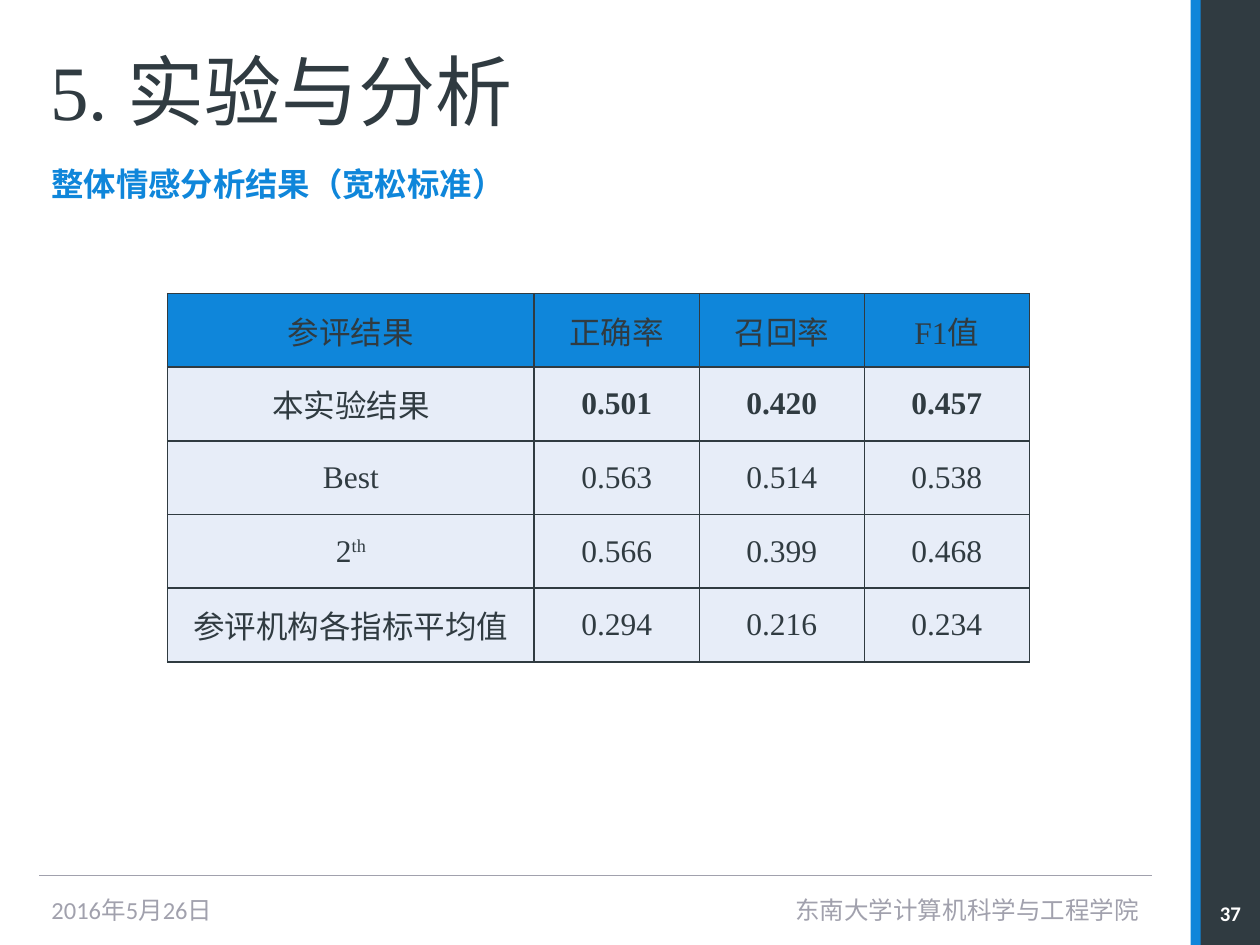
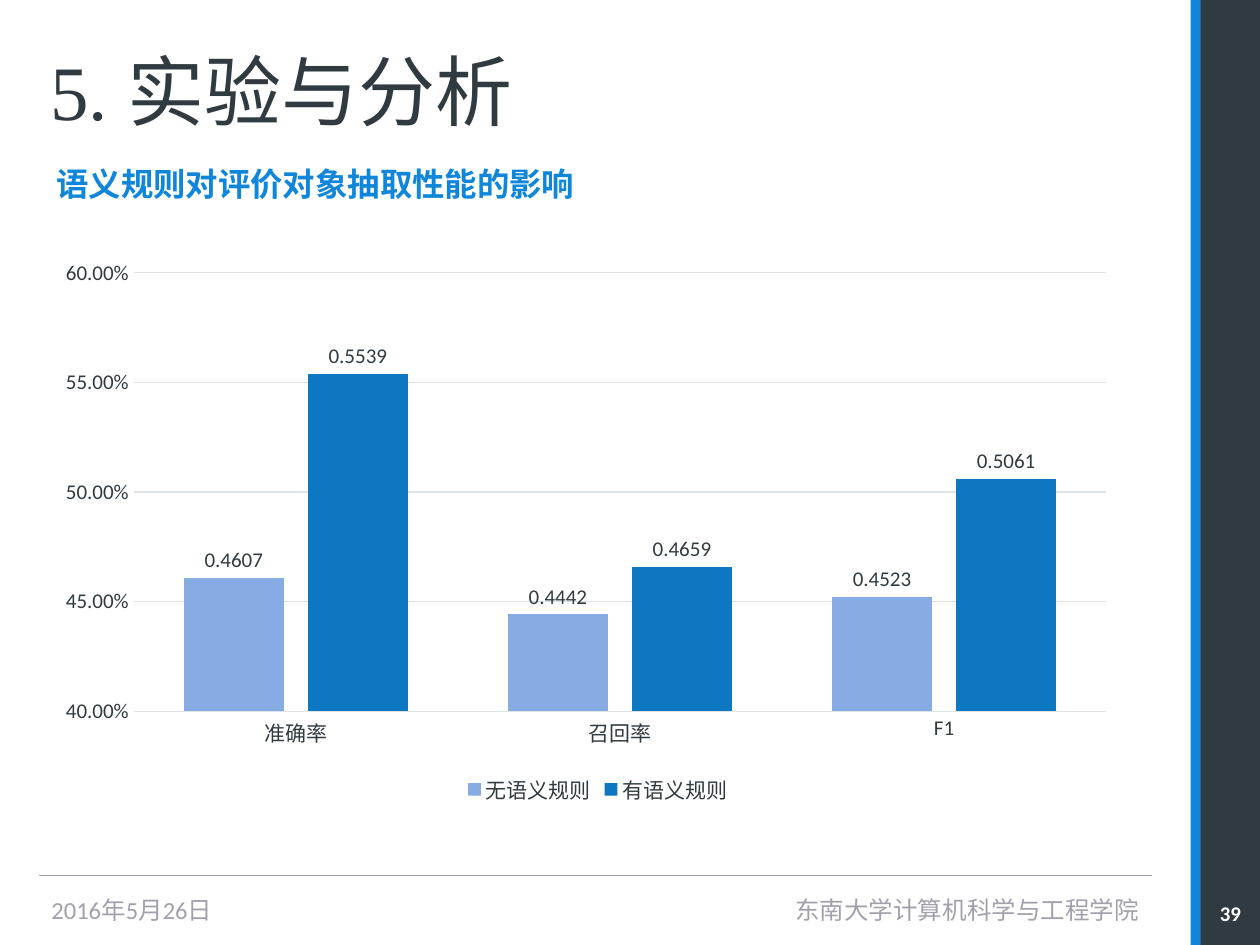
from lxml.etree import SubElement
from pptx import Presentation
from pptx.chart.data import CategoryChartData
from pptx.dml.color import RGBColor
from pptx.enum.chart import (XL_CHART_TYPE as CHART, XL_LABEL_POSITION as LABEL,
                             XL_LEGEND_POSITION as LEGEND, XL_TICK_MARK as TICK)
from pptx.enum.shapes import MSO_CONNECTOR, MSO_SHAPE
from pptx.enum.text import MSO_ANCHOR as ANCHOR, PP_ALIGN as ALIGN
from pptx.oxml import parse_xml
from pptx.oxml.ns import nsdecls, qn
from pptx.util import Inches, Pt

COLORS = {"blue": "0F86DA", "dark": "303B41", "gray": "A1A1AD", "white": "FFFFFF",
          "pale": "E7EDF8", "grid": "DDE3E6", "light_bar": "87ACE3", "dark_bar": "0D77C1"}
SANS, SERIF = "Calibri", "Times New Roman"

TITLE = "5. 实验与分析"
DATE = "2016年5月26日"
SCHOOL = "东南大学计算机科学与工程学院"

TABLE_SLIDE = {"number": "37", "subtitle": "整体情感分析结果（宽松标准）", "left": 0.31}
CHART_SLIDE = {"number": "39", "subtitle": "语义规则对评价对象抽取性能的影响", "left": 0.35}

RESULTS = [
    ("参评结果", "正确率", "召回率", "F1值"),
    ("本实验结果", "0.501", "0.420", "0.457"),
    ("Best", "0.563", "0.514", "0.538"),
    (("2", "th"), "0.566", "0.399", "0.468"),  # a pair is a base and its superscript
    ("参评机构各指标平均值", "0.294", "0.216", "0.234"),
]
COL_WIDTHS = [2.91, 1.31, 1.31, 1.31]
ROW_HEIGHT = 0.585

METRICS = ["准确率", "召回率", "F1"]
SERIES = [("无语义规则", (0.4607, 0.4442, 0.4523), "light_bar"),
          ("有语义规则", (0.5539, 0.4659, 0.5061), "dark_bar")]
PLOT_AREA = {"x": 0.081, "y": 0.033, "w": 0.878, "h": 0.789}


def rgb(name):
    return RGBColor.from_string(COLORS[name])


def style_font(font, size, color, name=SANS, bold=False):
    font.size, font.name, font.bold = Pt(size), name, bold
    font.color.rgb = rgb(color)


def add_text(s, box, text, size, color, name=SANS, bold=False,
             align=ALIGN.LEFT, anchor=ANCHOR.MIDDLE):
    tf = s.shapes.add_textbox(*map(Inches, box)).text_frame
    tf.word_wrap = True
    tf.vertical_anchor = anchor
    p = tf.paragraphs[0]
    p.alignment = align
    r = p.add_run()
    r.text = text
    style_font(r.font, size, color, name, bold)
    return p


def add_band(s, left, color):
    """Fill the slide from left to its right edge."""
    sp = s.shapes.add_shape(MSO_SHAPE.RECTANGLE, Inches(left), 0,
                            Inches(10 - left), Inches(7.5))
    sp.shadow.inherit = False
    sp.fill.solid()
    sp.fill.fore_color.rgb = rgb(color)
    sp.line.fill.background()


def add_base_slide(prs, content):
    s = prs.slides.add_slide(prs.slide_layouts[6])
    add_band(s, 9.45, "blue")
    add_band(s, 9.53, "dark")
    rule = s.shapes.add_connector(MSO_CONNECTOR.STRAIGHT, Inches(0.31), Inches(6.95),
                                  Inches(9.14), Inches(6.95))
    rule.line.color.rgb = rgb("gray")
    rule.line.width = Pt(0.79)
    SubElement(rule._element.spPr, qn("a:effectLst"))
    add_text(s, (0.31, 7.02, 1.95, 0.4), DATE, 14, "gray")
    add_text(s, (3.21, 7.02, 5.93, 0.4), SCHOOL, 14, "gray", align=ALIGN.RIGHT)
    add_text(s, (9.53, 7.11, 0.47, 0.27), content["number"], 11.9, "white",
             bold=True, align=ALIGN.CENTER)
    add_text(s, (0.3, 0.17, 8.92, 1.08), TITLE, 44, "dark", SERIF)
    p = add_text(s, (content["left"], 1.25, 8.91, 0.39), content["subtitle"], 18.5,
                 "blue", bold=True, anchor=ANCHOR.TOP)
    p.space_before = Pt(7)
    return s


def add_borders(cell):
    tc_pr = cell._tc.get_or_add_tcPr()
    for side in ("lnL", "lnR", "lnT", "lnB"):
        ln = SubElement(tc_pr, qn(f"a:{side}"), w=str(Pt(1)))
        fill = SubElement(ln, qn("a:solidFill"))
        SubElement(fill, qn("a:srgbClr"), val=COLORS["dark"])


def fill_cell(cell, content, fill, bold):
    add_borders(cell)
    cell.fill.solid()
    cell.fill.fore_color.rgb = rgb(fill)
    cell.vertical_anchor = ANCHOR.MIDDLE
    cell.margin_left = cell.margin_right = Inches(0.07)
    cell.margin_top = cell.margin_bottom = 0
    p = cell.text_frame.paragraphs[0]
    p.alignment = ALIGN.CENTER
    parts = (content,) if isinstance(content, str) else content
    for i, part in enumerate(parts):
        r = p.add_run()
        r.text = part
        style_font(r.font, 18, "dark", SERIF, bold)
        if i:
            r._r.get_or_add_rPr().set("baseline", "30000")


def add_results_table(s):
    table = s.shapes.add_table(len(RESULTS), len(COL_WIDTHS), Inches(1.33), Inches(2.33),
                               Inches(sum(COL_WIDTHS)),
                               Inches(ROW_HEIGHT * len(RESULTS))).table
    table.first_row = table.horz_banding = False
    for column, width in zip(table.columns, COL_WIDTHS):
        column.width = Inches(width)
    for i, row in enumerate(RESULTS):
        table.rows[i].height = Inches(ROW_HEIGHT)
        for j, content in enumerate(row):
            fill_cell(table.cell(i, j), content, "pale" if i else "blue",
                      bold=i == 1 and j > 0)


def set_plot_area(chart):
    """Pin the inner plot area to fractions of the chart."""
    plot_area = chart._chartSpace.chart.plotArea
    for old in plot_area.findall(qn("c:layout")):
        plot_area.remove(old)
    sizes = "".join(f'<c:{k} val="{v}"/>' for k, v in PLOT_AREA.items())
    plot_area.insert(0, parse_xml(
        f'<c:layout {nsdecls("c")}><c:manualLayout><c:layoutTarget val="inner"/>'
        f'<c:xMode val="edge"/><c:yMode val="edge"/>{sizes}'
        '</c:manualLayout></c:layout>'))


def style_line(line):
    line.color.rgb = rgb("grid")
    line.width = Pt(0.75)


def add_rules_chart(s):
    data = CategoryChartData()
    data.categories = METRICS
    for name, values, _ in SERIES:
        data.add_series(name, values)
    chart = s.shapes.add_chart(CHART.COLUMN_CLUSTERED, Inches(0.35), Inches(2.02),
                               Inches(8.79), Inches(4.41), data).chart
    style_font(chart.font, 12, "dark")
    chart.has_title = False
    chart.has_legend = True
    chart.legend.position = LEGEND.BOTTOM
    chart.legend.include_in_layout = False
    style_font(chart.legend.font, 12, "dark")

    plot = chart.plots[0]
    plot.vary_by_categories = False
    plot.gap_width, plot.overlap = 100, -24
    for series, (_, _, color) in zip(plot.series, SERIES):
        series.format.fill.solid()
        series.format.fill.fore_color.rgb = rgb(color)
        labels = series.data_labels
        labels.show_value = True
        labels.position = LABEL.OUTSIDE_END
        style_font(labels.font, 12, "dark")

    cat_axis, val_axis = chart.category_axis, chart.value_axis
    for axis in (cat_axis, val_axis):
        axis.major_tick_mark = axis.minor_tick_mark = TICK.NONE
        style_font(axis.tick_labels.font, 12, "dark")
    style_line(cat_axis.format.line)
    val_axis.format.line.fill.background()
    val_axis.minimum_scale, val_axis.maximum_scale, val_axis.major_unit = 0.4, 0.6, 0.05
    val_axis.tick_labels.number_format = "0.00%"
    val_axis.tick_labels.number_format_is_linked = False
    style_line(val_axis.major_gridlines.format.line)
    set_plot_area(chart)


def main():
    prs = Presentation()
    prs.slide_width, prs.slide_height = Inches(10), Inches(7.5)
    add_results_table(add_base_slide(prs, TABLE_SLIDE))
    add_rules_chart(add_base_slide(prs, CHART_SLIDE))
    prs.save("out.pptx")


if __name__ == "__main__":
    main()
